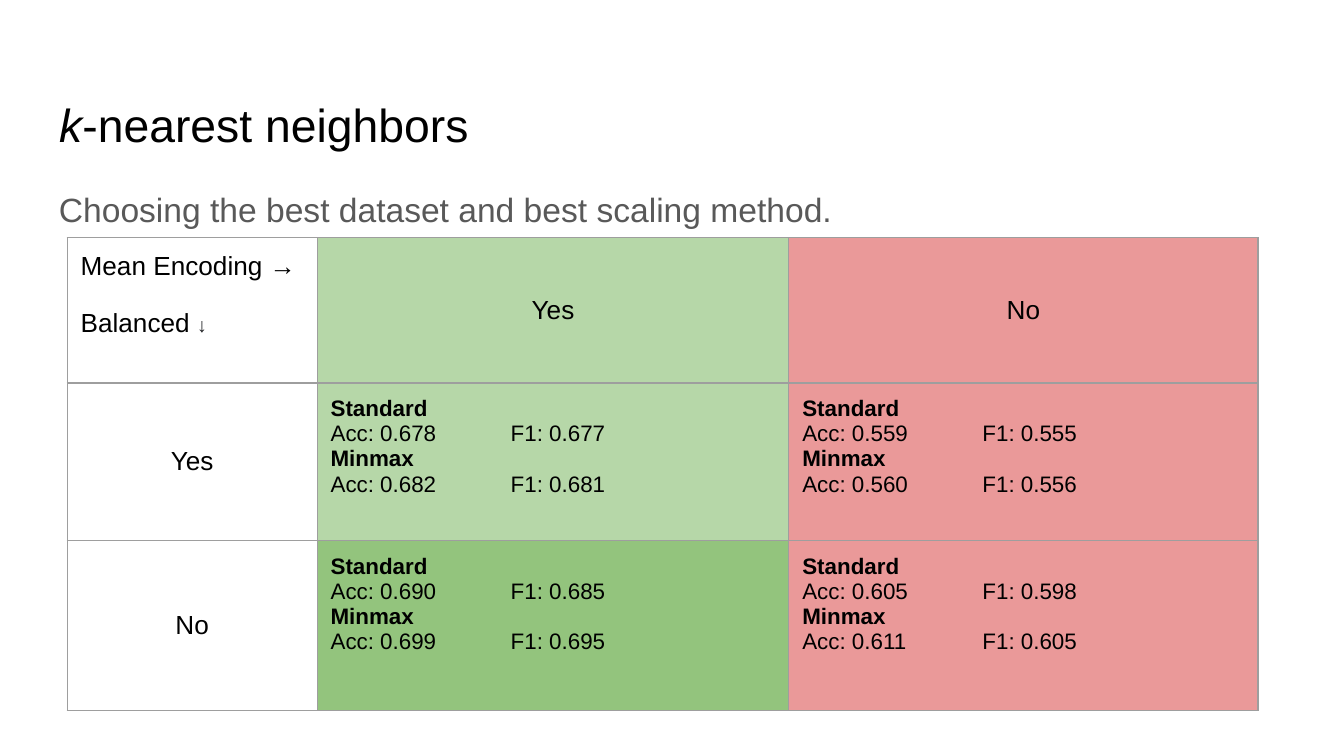
import pptx
import pptx.dml.color
import pptx.enum.text
import pptx.util
from lxml import etree
from pptx.oxml.ns import qn

Inches = pptx.util.Inches
Pt = pptx.util.Pt
RGB = pptx.dml.color.RGBColor
Align = pptx.enum.text.PP_ALIGN
Anchor = pptx.enum.text.MSO_ANCHOR

BLACK = RGB(0x00, 0x00, 0x00)
GRAY = RGB(0x59, 0x59, 0x59)
DARK = RGB(0x20, 0x21, 0x24)
LINE = RGB(0x9E, 0x9E, 0x9E)
GREEN = RGB(0xB6, 0xD7, 0xA8)
BEST = RGB(0x93, 0xC4, 0x7D)
RED = RGB(0xEA, 0x99, 0x99)


class Deck:
    font = "Arial"
    pad = Inches(0.1)
    tab = Inches(1.34)

    def __init__(self, wide):
        self.prs = pptx.Presentation()
        self.prs.slide_width = Inches(wide)
        self.prs.slide_height = Inches(wide * 9 / 16)
        self.slide = self.prs.slides.add_slide(self.prs.slide_layouts[5])

    def style(self, item, size, color=BLACK, bold=False):
        font = item.font
        font.name, font.size, font.bold = self.font, Pt(size), bold
        font.color.rgb = color

    def frame(self, shape, box):
        shape.left, shape.top, shape.width, shape.height = map(Inches, box)
        text = shape.text_frame
        text.word_wrap = True
        text.auto_size = pptx.enum.text.MSO_AUTO_SIZE.NONE
        text.vertical_anchor = Anchor.TOP
        text.margin_left = text.margin_right = self.pad
        text.margin_top = text.margin_bottom = self.pad
        return text.paragraphs[0]

    def title(self, box, lead, rest):
        par = self.frame(self.slide.shapes.title, box)
        par.alignment, par.line_spacing = Align.LEFT, 1.3
        self.style(par, 24.8)
        run = par.add_run()
        run.text, run.font.italic = lead, True
        par.add_run().text = rest

    def text(self, box, words):
        par = self.frame(self.slide.shapes.add_textbox(*map(Inches, box)), box)
        par.text, par.line_spacing = words, 1.15
        self.style(par, 18, GRAY)

    def table(self, left, top, cols, rows):
        size = map(Inches, (left, top, sum(cols), sum(rows)))
        grid = self.slide.shapes.add_table(len(rows), len(cols), *size).table
        grid.first_row = grid.horz_banding = False
        for col, wide in zip(grid.columns, cols):
            col.width = Inches(wide)
        for row, high in zip(grid.rows, rows):
            row.height = Inches(high)
        return grid

    def cell(self, cell, fill=None):
        cell.margin_left = cell.margin_right = self.pad
        cell.margin_top = cell.margin_bottom = self.pad
        # Borders come before the fill in the cell's XML
        prop = cell._tc.get_or_add_tcPr()
        for side in ("a:lnL", "a:lnR", "a:lnT", "a:lnB"):
            edge = etree.SubElement(prop, qn(side), w=str(Pt(0.75)))
            solid = etree.SubElement(edge, qn("a:solidFill"))
            etree.SubElement(solid, qn("a:srgbClr"), val=str(LINE))
        if fill is None:
            cell.fill.background()
        else:
            cell.fill.solid()
            cell.fill.fore_color.rgb = fill
        return cell.text_frame

    def label(self, cell, words, fill=None):
        par = self.cell(cell, fill).paragraphs[0]
        cell.vertical_anchor = Anchor.MIDDLE
        par.text, par.alignment = words, Align.CENTER
        self.style(par, 14)

    def corner(self, cell, across, down, arrow):
        text = self.cell(cell)
        first, last = text.paragraphs[0], text.add_paragraph()
        first.text = across
        last.space_before = Pt(15)
        last.add_run().text = down
        for par in (first, last):
            self.style(par, 14)
        run = last.add_run()
        run.text = arrow
        self.style(run, 10.5, DARK)

    def scores(self, cell, pairs, fill):
        text = self.cell(cell, fill)
        par = text.paragraphs[0]
        for name, (acc, f1) in zip(("Standard", "Minmax"), pairs):
            if par is None:
                par = text.add_paragraph()
            par.text = name
            self.style(par, 12, bold=True)
            par = text.add_paragraph()
            par.text = f"Acc: {acc:.3f}\tF1: {f1:.3f}"
            self.style(par, 12)
            tabs = etree.Element(qn("a:tabLst"))
            etree.SubElement(tabs, qn("a:tab"), pos=str(self.tab), algn="l")
            par._p.get_or_add_pPr().insert(0, tabs)
            par = None


deck = Deck(10)

# Heading
deck.title((0.34, 0.49, 9.32, 0.63), "k", "-nearest neighbors")
deck.text((0.34, 1.26, 9.32, 3.74),
          "Choosing the best dataset and best scaling method.")

# Table headers
grid = deck.table(0.5, 1.77, (1.86, 3.51, 3.49), (1.08, 1.17, 1.27))
deck.corner(grid.cell(0, 0), "Mean Encoding →", "Balanced ", "↓")
for i, (word, fill) in enumerate((("Yes", GREEN), ("No", RED)), 1):
    deck.label(grid.cell(0, i), word, fill)
    deck.label(grid.cell(i, 0), word)

# Accuracy and F1 per scaling method
RESULTS = {
    (1, 1): (((0.678, 0.677), (0.682, 0.681)), GREEN),
    (1, 2): (((0.559, 0.555), (0.560, 0.556)), RED),
    (2, 1): (((0.690, 0.685), (0.699, 0.695)), BEST),
    (2, 2): (((0.605, 0.598), (0.611, 0.605)), RED),
}
for spot, (pairs, fill) in RESULTS.items():
    deck.scores(grid.cell(*spot), pairs, fill)

deck.prs.save("out.pptx")
